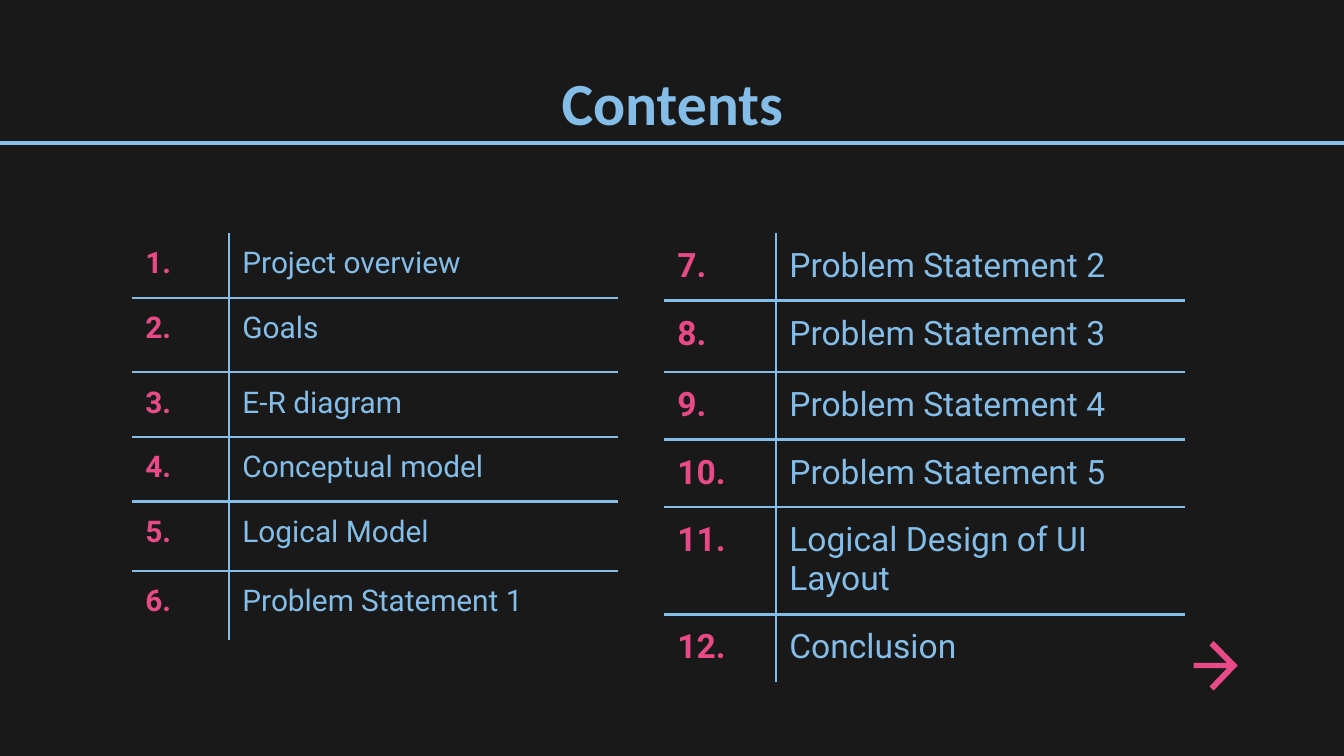
from lxml import etree
from pptx import Presentation
from pptx import util as u
from pptx.dml.color import RGBColor
from pptx.enum import shapes, text
from pptx.oxml.ns import qn

COLORS = {"background": "191919", "blue": "84BDE7", "pink": "E84987"}
INSET = u.Pt(7.2)
FIRST_TOPICS = ["Project overview", "Goals", "E-R diagram",
                "Conceptual model", "Logical Model", "Problem Statement 1"]
LAST_TOPICS = ["Problem Statement 2", "Problem Statement 3",
               "Problem Statement 4", "Problem Statement 5",
               "Logical Design of UI Layout", "Conclusion"]


def rgb(name):
    return RGBColor.from_string(COLORS[name])


def style_text(p, font, size, color, bold):
    p.font.name = font
    p.font.size = u.Pt(size)
    p.font.bold = bold
    p.font.color.rgb = rgb(color)


def set_margins(box):
    box.margin_left = box.margin_right = INSET
    box.margin_top = box.margin_bottom = INSET


def add_title(s, title):
    sp = s.shapes.add_textbox(u.Pt(56.7), u.Pt(35.3), u.Pt(607), u.Pt(45.4))
    tf = sp.text_frame
    tf.word_wrap = True
    tf.vertical_anchor = text.MSO_ANCHOR.BOTTOM
    set_margins(tf)
    p = tf.paragraphs[0]
    p.text = title
    p.alignment = text.PP_ALIGN.CENTER
    style_text(p, "Calibri", 32, "blue", True)


def add_rule(s, y):
    line = s.shapes.add_connector(shapes.MSO_CONNECTOR.STRAIGHT,
                                  u.Pt(-1.4), u.Pt(y), u.Pt(720.7), u.Pt(y))
    line.line.color.rgb = rgb("blue")
    line.line.width = u.Pt(2.25)
    etree.SubElement(line._element.spPr, qn("a:effectLst"))


def set_borders(cell, visible):
    tc_pr = cell._tc.get_or_add_tcPr()
    for i, side in enumerate("LRTB"):
        ln = etree.Element(qn(f"a:ln{side}"), w=str(u.Pt(1.5)))
        if side in visible:
            fill = etree.SubElement(ln, qn("a:solidFill"))
            etree.SubElement(fill, qn("a:srgbClr"), val=COLORS["blue"])
        else:
            etree.SubElement(ln, qn("a:noFill"))
        tc_pr.insert(i, ln)


def fill_cell(cell, label, size, color, bold, borders):
    cell.fill.background()
    set_margins(cell)
    set_borders(cell, borders)
    p = cell.text_frame.paragraphs[0]
    p.text = label
    style_text(p, "Roboto", size, color, bold)
    return p


def add_topics(s, topics, first, left, top, widths, heights, size):
    table = s.shapes.add_table(len(topics), 2, u.Pt(left), u.Pt(top),
                               u.Pt(sum(widths)), u.Pt(sum(heights))).table
    table.first_row = table.horz_banding = False
    for column, width in zip(table.columns, widths):
        column.width = u.Pt(width)
    for i, (topic, height) in enumerate(zip(topics, heights)):
        table.rows[i].height = u.Pt(height)
        rules = ("T" if i else "") + ("B" if i < len(topics) - 1 else "")
        fill_cell(table.cell(i, 0), f"{first + i}.", size, "pink", True, "R" + rules)
        p = fill_cell(table.cell(i, 1), topic, size, "blue", False, "L" + rules)
        p.space_after = u.Pt(16)


def add_arrow(s):
    points = [(650.2, 343.4), (648, 345.8), (657.4, 355.2), (639.4, 355.2),
              (639.4, 358), (657.4, 358), (648, 367.8), (650.2, 370), (663.1, 356.6)]
    start, *rest = [(u.Pt(x), u.Pt(y)) for x, y in points]
    builder = s.shapes.build_freeform(*start)
    builder.add_line_segments(rest, close=True)
    sp = builder.convert_to_shape()
    sp.shadow.inherit = False
    sp.fill.solid()
    sp.fill.fore_color.rgb = rgb("pink")
    sp.line.fill.background()


def main():
    prs = Presentation()
    prs.slide_width, prs.slide_height = u.Pt(720), u.Pt(405)
    s = prs.slides.add_slide(prs.slide_layouts[6])
    s.background.fill.solid()
    s.background.fill.fore_color.rgb = rgb("background")
    add_rule(s, 76.5)
    add_title(s, "Contents")
    add_topics(s, FIRST_TOPICS, 1, 70.7, 124.8, [52, 208.2],
               [34.7, 39.8, 34.7, 34.7, 37.2, 37.2], 16)
    add_arrow(s)
    add_topics(s, LAST_TOPICS, 7, 355.7, 125, [60, 219],
               [34, 38.4, 30, 30, 36, 36], 18)
    prs.save("out.pptx")


if __name__ == "__main__":
    main()
